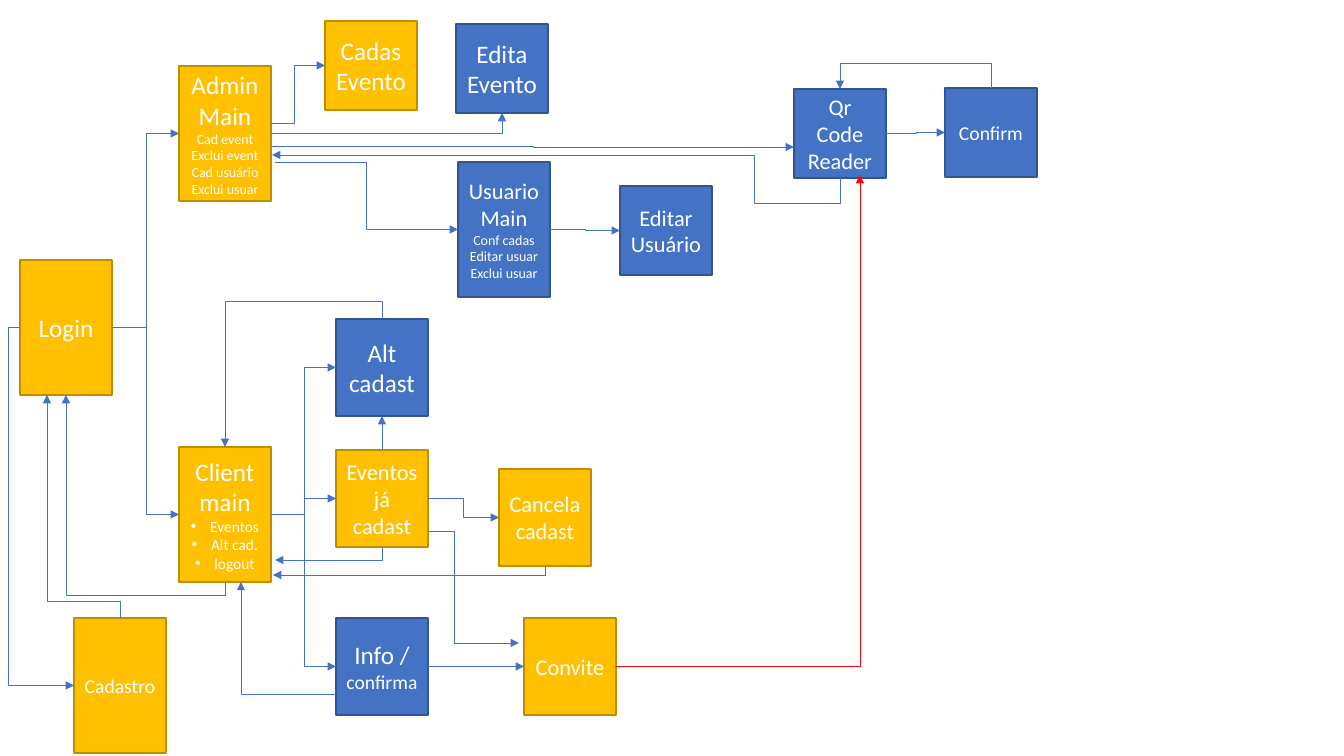
import pptx
import pptx.util
import pptx.dml.color
import pptx.enum.shapes
import pptx.enum.text
import pptx.oxml
import pptx.oxml.ns
from lxml import etree

PX = 914400 / 100.8
THEME = {
    "font": "Calibri", "text": "FFFFFF",
    "gold": ("FFC000", "BD8E00"), "blue": ("4472C4", "325491"),
    "line": "4472C4", "alert": "FF0000",
    "big": 18, "mid": 16, "low": 14, "list": 11, "note": 10,
    "edge": 1, "wire": 0.5,
}
WIDE = 92
TALL = {"page": 135, "step": 97, "form": 89}


def rows(size, *texts):
    return [[(text, size)] for text in texts]


BOXES = {
    "login": (20, 260, "page", "gold", rows("big", "Login")),
    "admin": (179, 66, "page", "gold", rows("big", "Admin", "Main") + rows(
        "note", "Cad event", "Exclui event", "Cad usuário", "Exclui usuar")),
    "client": (179, 447, "page", "gold", rows("big", "Client", "main") + rows(
        "list", "Eventos", "Alt cad.", "logout")),
    "alt": (336, 319, "step", "blue", rows("big", "Alt cadast")),
    "info": (336, 618, "step", "blue",
             [[("Info / ", "big"), ("confirma", "low")]]),
    "events": (336, 450, "step", "gold", rows("mid", "Eventos já cadast")),
    "cancel": (499, 469, "step", "gold", rows("mid", "Cancela cadast")),
    "create": (325, 21, "form", "gold", rows("big", "Cadas Evento")),
    "edit": (456, 24, "form", "blue", rows("big", "Edita Evento")),
    "member": (620, 186, "form", "blue", rows("mid", "Editar Usuário")),
    "invite": (524, 618, "step", "gold", rows("mid", "Convite")),
    "reader": (794, 89, "form", "blue", rows("mid", "Qr Code Reader")),
    "signup": (74, 618, "page", "gold", rows("low", "Cadastro")),
    "users": (458, 162, "page", "blue", rows("mid", "Usuario", "Main") + rows(
        "note", "Conf cadas", "Editar usuar", "Exclui usuar")),
    "confirm": (945, 88, "form", "blue", rows("low", "Confirm")),
}

# Each wire: start, end, first direction, bend positions, colour.
WIRES = [
    ((271, 123), "create left", "across", [294], "line"),
    ("admin right", "edit bottom", "across", [], "line"),
    ((272, 146), (794, 147), "across", [533], "line"),
    ((275, 162), "users left", "across", [366], "line"),
    ("users right", "member left", "across", [585], "line"),
    ("reader right", "confirm left", "across", [916], "line"),
    ("confirm top", "reader top", "down", [63], "line"),
    ("reader bottom", (272, 155), "down", [203, 754], "line"),
    ("login right", "admin left", "across", [146], "line"),
    ("login right", "client left", "across", [146], "line"),
    ("login left", "signup left", "across", [8], "line"),
    ("signup top", (47, 395), "down", [601], "line"),
    ("client bottom", "login bottom", "down", [595], "line"),
    ("client right", "alt left", "across", [304], "line"),
    ("client right", "events left", "across", [304], "line"),
    ("client right", "info left", "across", [304], "line"),
    ("alt top", "client top", "down", [301], "line"),
    ("events top", "alt bottom", "down", [], "line"),
    ("events bottom", (275, 560), "down", [], "line"),
    ("events right", "cancel left", "across", [463], "line"),
    ("cancel bottom", (273, 575), "down", [], "line"),
    ((428, 531), (519, 643), "across", [454], "line"),
    ((336, 694), (241, 582), "across", [], "line"),
    ("info right", "invite left", "across", [], "line"),
    ("invite right", (860, 175), "across", [], "alert"),
]


def emu(value):
    return pptx.util.Emu(round(value * PX))


def tint(code):
    return pptx.dml.color.RGBColor.from_string(code)


def spot(place):
    if not isinstance(place, str):
        return place
    name, side = place.split()
    x, y, kind = BOXES[name][:3]
    fx, fy = {"left": (0, 0.5), "right": (1, 0.5),
              "top": (0.5, 0), "bottom": (0.5, 1)}[side]
    return x + fx * WIDE, y + fy * TALL[kind]


def child(parent, tag, **attrs):
    return etree.SubElement(parent, pptx.oxml.ns.qn(tag), **attrs)


def draw_box(x, y, kind, look, paras):
    box = slide.shapes.add_shape(
        pptx.enum.shapes.MSO_SHAPE.RECTANGLE,
        emu(x), emu(y), emu(WIDE), emu(TALL[kind]))
    box.shadow.inherit = False
    fill, edge = THEME[look]
    box.fill.solid()
    box.fill.fore_color.rgb = tint(fill)
    box.line.color.rgb = tint(edge)
    box.line.width = pptx.util.Pt(THEME["edge"])
    frame = box.text_frame
    frame.word_wrap = True
    frame.vertical_anchor = pptx.enum.text.MSO_ANCHOR.MIDDLE
    for i, runs in enumerate(paras):
        para = frame.add_paragraph() if i else frame.paragraphs[0]
        para.alignment = pptx.enum.text.PP_ALIGN.CENTER
        for text, size in runs:
            run = para.add_run()
            run.text = text
            run.font.name = THEME["font"]
            run.font.size = pptx.util.Pt(THEME[size])
            run.font.color.rgb = tint(THEME["text"])
            if size == "list":
                props = para._p.get_or_add_pPr()
                dent = round(0.19 * 914400)
                props.set("marL", str(dent))
                props.set("indent", str(-dent))
                child(props, "a:buFont", typeface="Arial")
                child(props, "a:buChar", char="•")


def draw_wire(start, end, way, bends, color):
    (x1, y1), (x2, y2) = a, b = spot(start), spot(end)
    dx, dy = x2 - x1, y2 - y1
    kinds = pptx.enum.shapes.MSO_CONNECTOR
    bent = dx != 0 and dy != 0
    turn = bent and way == "down"
    if turn:
        cx, cy = (x1 + x2) / 2, (y1 + y2) / 2
        a = cx - dy / 2, cy + dx / 2
        b = cx + dy / 2, cy - dx / 2
    wire = slide.shapes.add_connector(
        kinds.ELBOW if bent else kinds.STRAIGHT, *map(emu, a + b))
    wire.line.color.rgb = tint(THEME[color])
    wire.line.width = pptx.util.Pt(THEME["wire"])
    props = wire._element.spPr
    child(wire.line._get_or_add_ln(), "a:tailEnd", type="triangle")
    child(props, "a:effectLst")
    if turn:
        props.find(pptx.oxml.ns.qn("a:xfrm")).set("rot", "5400000")
    if bent:
        geom = props.find(pptx.oxml.ns.qn("a:prstGeom"))
        geom.set("prst", f"bentConnector{len(bends) + 2}")
        for old in list(geom):
            geom.remove(old)
        guides = child(geom, "a:avLst")
        spans = [(x1, dx), (y1, dy)]
        if turn:
            spans.reverse()
        for i, (bend, (base, span)) in enumerate(zip(bends, spans), 1):
            ratio = round((bend - base) / span * 100000)
            child(guides, "a:gd", name=f"adj{i}", fmla=f"val {ratio}")


deck = pptx.Presentation()
deck.slide_width, deck.slide_height = emu(1344), emu(756)
slide = deck.slides.add_slide(deck.slide_layouts[6])
for box in BOXES.values():
    draw_box(*box)
for wire in WIRES:
    draw_wire(*wire)
deck.save("out.pptx")
